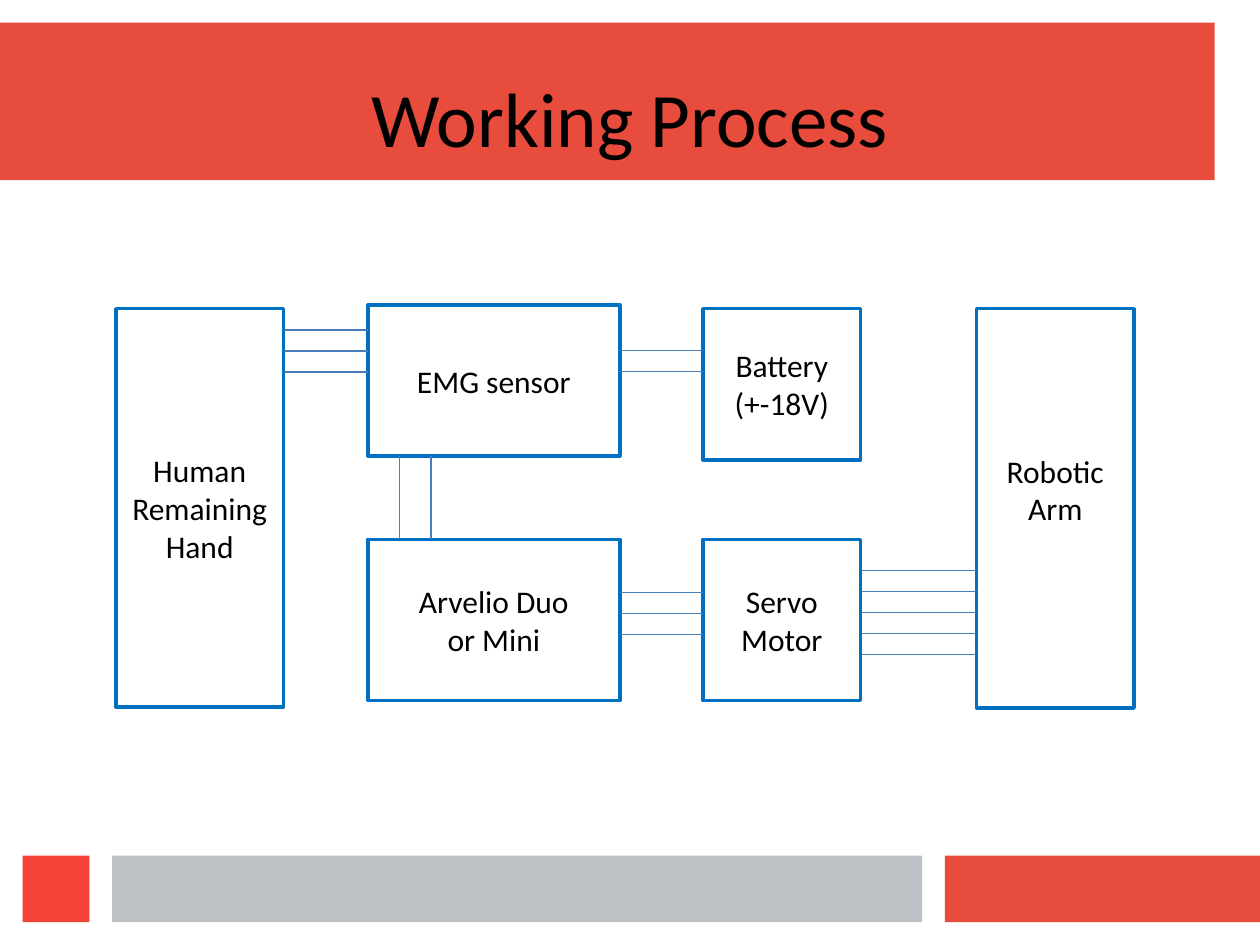
import pptx
import pptx.util
import pptx.dml.color
import pptx.enum.shapes
import pptx.enum.text
import lxml.etree
from pptx.util import Inches

BLACK, WHITE = "000000", "FFFFFF"
RED, BRIGHT_RED, GREY = "E74C3C", "F44336", "BDC3C7"
BOX_BLUE, WIRE_BLUE = "0070C0", "4A7EBB"
DRAWING_NS = "http://schemas.openxmlformats.org/drawingml/2006/main"


def color(hex_string):
    return pptx.dml.color.RGBColor.from_string(hex_string)


def write(frame, text, size):
    frame.text = text
    frame.word_wrap = True
    frame.vertical_anchor = pptx.enum.text.MSO_ANCHOR.MIDDLE
    for paragraph in frame.paragraphs:
        paragraph.alignment = pptx.enum.text.PP_ALIGN.CENTER
        for run in paragraph.runs:
            run.font.name = "Calibri"
            run.font.size = pptx.util.Pt(size)
            run.font.color.rgb = color(BLACK)


deck = pptx.Presentation()
deck.slide_width, deck.slide_height = Inches(10), Inches(7.5)
slide = deck.slides.add_slide(deck.slide_layouts[6])
shapes = slide.shapes
RECTANGLE = pptx.enum.shapes.MSO_SHAPE.RECTANGLE

# Title band and footer bars
for left, top, width, height, fill in [
    (0, 0.18, 9.64, 1.25, RED),
    (7.5, 6.79, 2.5, 0.53, RED),
    (0.89, 6.79, 6.43, 0.53, GREY),
    (0.18, 6.79, 0.53, 0.53, BRIGHT_RED),
]:
    bar = shapes.add_shape(RECTANGLE, Inches(left), Inches(top), Inches(width), Inches(height))
    bar.shadow.inherit = False
    bar.fill.solid()
    bar.fill.fore_color.rgb = color(fill)
    bar.line.fill.background()

# Components of the system; the last value is the bottom inset
for left, top, width, height, label, bottom_inset in [
    (0.92, 2.45, 1.33, 3.16, "Human\nRemaining Hand", 0.05),
    (2.92, 2.42, 2, 1.2, "EMG sensor", 0.05),
    (5.58, 2.45, 1.25, 1.2, "Battery\n(+-18V)", 0.05),
    (2.92, 4.28, 2, 1.28, "Arvelio Duo\nor Mini", 0.05),
    (5.58, 4.28, 1.25, 1.28, "Servo Motor", 0.05),
    (7.75, 2.45, 1.25, 3.17, "Robotic Arm", 0.35),
]:
    component = shapes.add_shape(RECTANGLE, Inches(left), Inches(top), Inches(width), Inches(height))
    component.shadow.inherit = False
    component.fill.solid()
    component.fill.fore_color.rgb = color(WHITE)
    component.line.color.rgb = color(BOX_BLUE)
    component.line.width = pptx.util.Pt(2)
    write(component.text_frame, label, 18)
    component.text_frame.margin_bottom = Inches(bottom_inset)

# Wire bundles: first wire's start and end, step between wires, number of wires
ROW_STEP = 1 / 6
for x1, y1, x2, y2, step_x, step_y, count in [
    (2.25, 2.62, 2.92, 2.62, 0, ROW_STEP, 3),  # hand to sensor
    (3.17, 3.62, 3.17, 4.28, 0.25, 0, 2),      # sensor to controller
    (4.92, 2.78, 5.58, 2.78, 0, ROW_STEP, 2),  # sensor to battery
    (4.92, 4.7, 5.58, 4.7, 0, ROW_STEP, 3),    # controller to servo
    (6.83, 4.53, 7.75, 4.53, 0, ROW_STEP, 5),  # servo to arm
]:
    for i in range(count):
        dx, dy = i * step_x, i * step_y
        wire = shapes.add_connector(
            pptx.enum.shapes.MSO_CONNECTOR.STRAIGHT,
            Inches(x1 + dx), Inches(y1 + dy), Inches(x2 + dx), Inches(y2 + dy))
        wire.line.color.rgb = color(WIRE_BLUE)
        wire.line.width = pptx.util.Pt(0.75)
        lxml.etree.SubElement(wire._element.spPr, f"{{{DRAWING_NS}}}effectLst")

# Title
title = shapes.add_textbox(Inches(0.5), Inches(0.3), Inches(9), Inches(1.25))
write(title.text_frame, "Working Process", 44)

deck.save("out.pptx")
